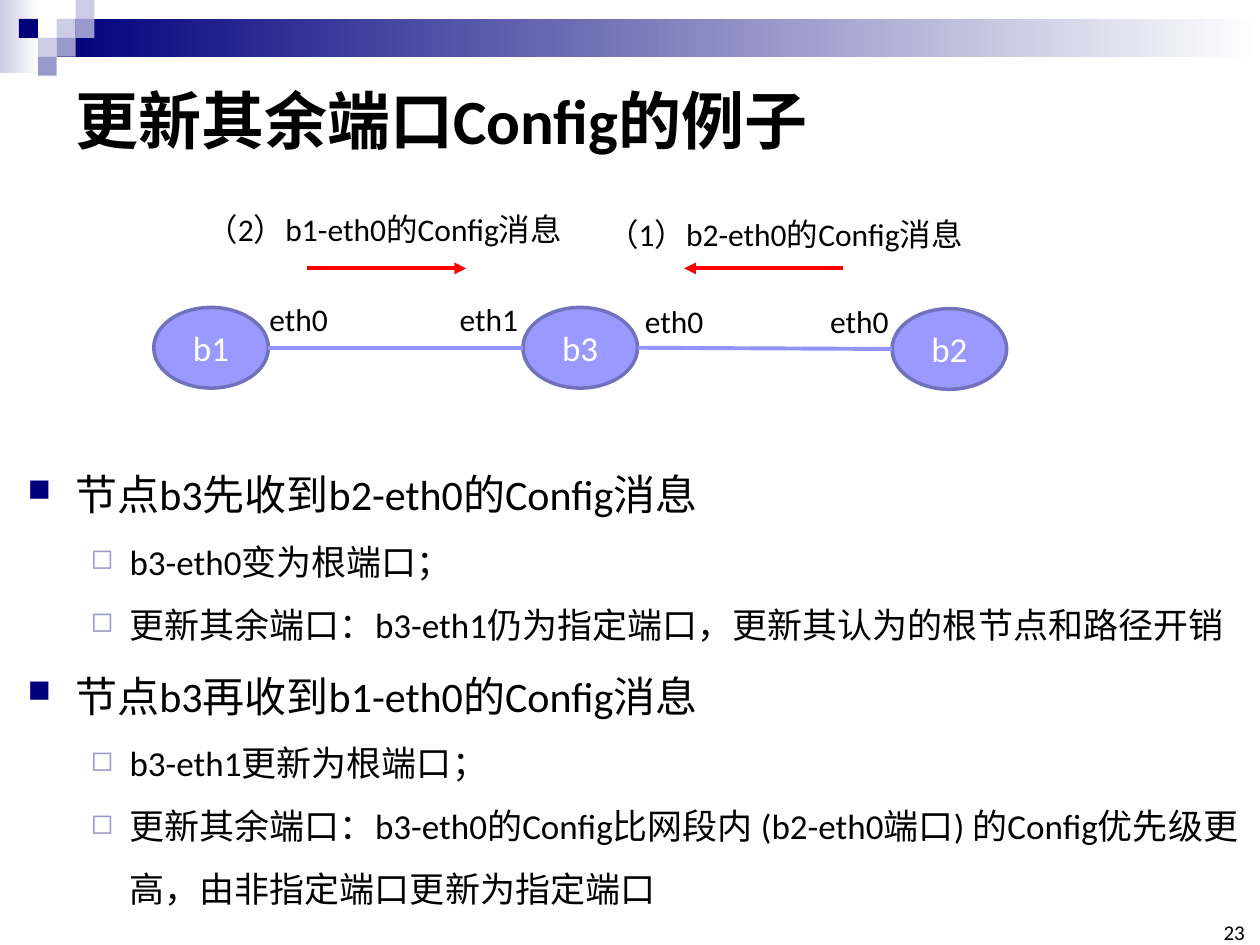
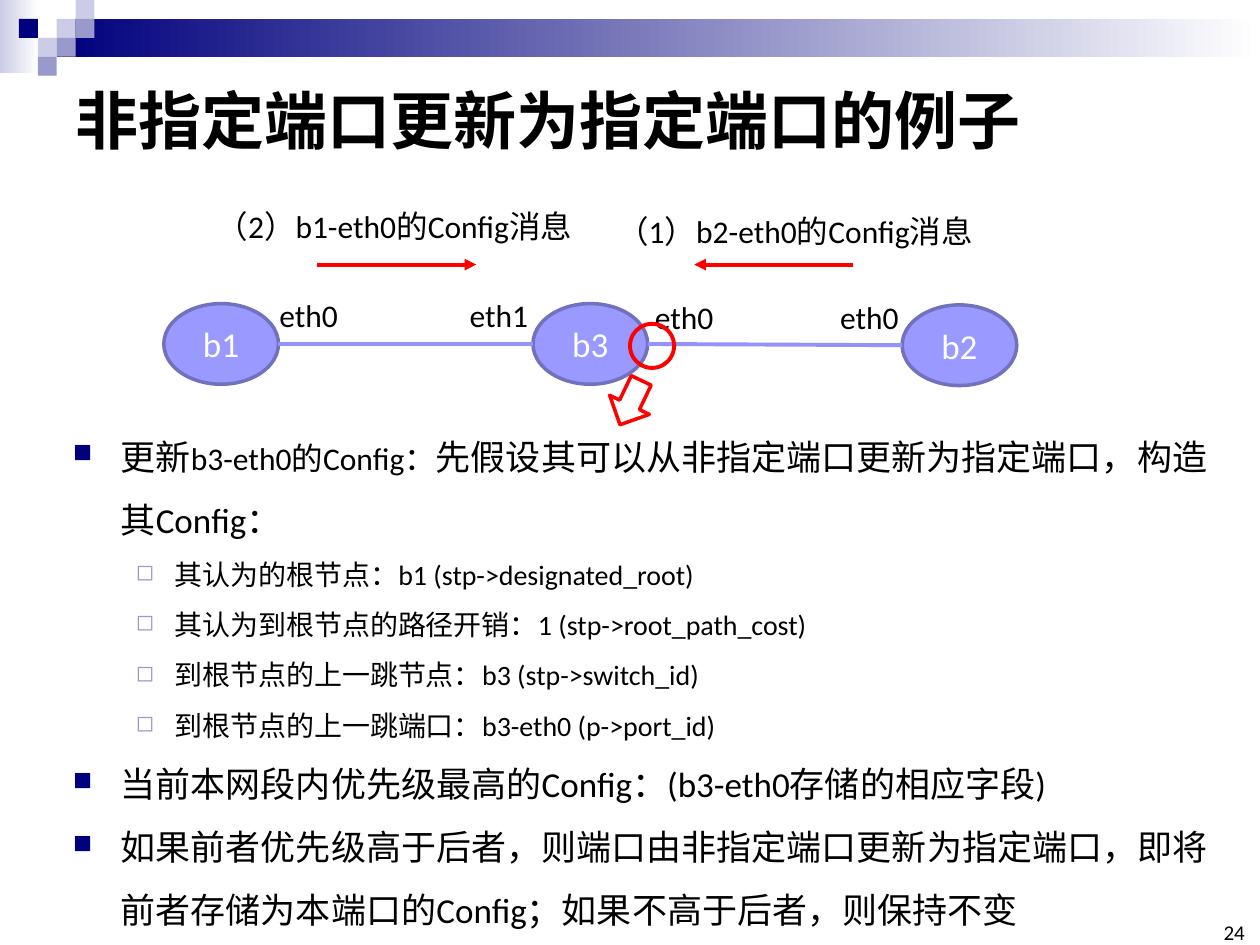
from dataclasses import dataclass

from lxml.etree import SubElement
from pptx import Presentation
from pptx.dml.color import RGBColor
from pptx.enum.shapes import MSO_CONNECTOR as Connector, MSO_SHAPE as Shape
from pptx.enum.text import MSO_ANCHOR as Anchor, PP_ALIGN as Align
from pptx.oxml.ns import qn
from pptx.util import Pt

EMU_PER_PX = 9144  # 100 px to the inch


def px(length):
    return round(length * EMU_PER_PX)


@dataclass(frozen=True)
class Theme:
    font: str = "Calibri"
    ink: str = "000000"
    paper: str = "FFFFFF"
    navy: str = "00007D"
    lilac: str = "9999CC"
    pale: str = "CCCCE6"
    node: str = "9999FF"
    node_edge: str = "7171BD"
    link: str = "9393FC"
    accent: str = "FF0000"
    title_size: int = 36
    node_size: int = 20
    label_size: int = 18
    number_size: int = 12
    edge_width: float = 2
    line_width: float = 2.25
    body_spacing: float = 1.5


@dataclass(frozen=True)
class Bullet:
    character: str
    colour: str
    percent: int
    margin: int
    hanging: int


THEME = Theme()
BULLETS = (
    Bullet("■", THEME.navy, 75, 38, 38),
    Bullet("◻", THEME.lilac, 80, 81, 31),
)
SQUARE = 15
SQUARES = (  # column, row, colour
    (3, 1, THEME.pale), (4, 0, THEME.pale), (4, 1, THEME.lilac),
    (2, 2, THEME.pale), (1, 1, THEME.navy), (3, 2, THEME.lilac),
    (2, 3, THEME.lilac),
)


class Deck:
    def __init__(self, theme):
        self.theme = theme
        self.presentation = Presentation()
        self.presentation.slide_width = px(1000)
        self.presentation.slide_height = px(750)
        self.slide = None

    def start_slide(self, title, number):
        theme = self.theme
        layout = self.presentation.slide_layouts[6]
        self.slide = self.presentation.slides.add_slide(layout)
        self.gradient_bar((0, 0, 31, 58), theme.pale)
        self.gradient_bar((45, 15, 955, 30), theme.navy)
        for column, row, colour in SQUARES:
            self.shape(Shape.RECTANGLE,
                       (column * SQUARE, row * SQUARE, SQUARE, SQUARE), colour)
        self.text((50, 50, 900, 89), title, theme.title_size,
                  bold=True, anchor=Anchor.MIDDLE)
        frame = self.text((965, 733, 23, 17), str(number), theme.number_size,
                          align=Align.RIGHT, anchor=Anchor.BOTTOM)
        frame.margin_left = frame.margin_right = 0
        frame.margin_top = frame.margin_bottom = 0

    def shape(self, kind, box, fill=None, edge=None, width=None, rotation=0):
        shape = self.slide.shapes.add_shape(kind, *map(px, box))
        shape.shadow.inherit = False
        shape.rotation = rotation
        if fill:
            shape.fill.solid()
            shape.fill.fore_color.rgb = RGBColor.from_string(fill)
        else:
            shape.fill.background()
        if edge:
            shape.line.color.rgb = RGBColor.from_string(edge)
            shape.line.width = Pt(width)
        else:
            shape.line.fill.background()
        return shape

    def gradient_bar(self, box, start):
        """Draw a bar that fades from start to the paper colour."""
        fill = self.shape(Shape.RECTANGLE, box).fill
        fill.gradient()
        fill.gradient_angle = 0
        for stop, colour in zip(fill.gradient_stops, (start, self.theme.paper)):
            stop.color.rgb = RGBColor.from_string(colour)

    def run(self, paragraph, text, size, colour=None, bold=False):
        run = paragraph.add_run()
        run.text = text
        run.font.name = self.theme.font
        run.font.size = Pt(size)
        run.font.bold = bold
        run.font.color.rgb = RGBColor.from_string(colour or self.theme.ink)

    def text_frame(self, box, anchor=Anchor.TOP):
        frame = self.slide.shapes.add_textbox(*map(px, box)).text_frame
        frame.word_wrap = True
        frame.vertical_anchor = anchor
        return frame

    def text(self, box, text, size, bold=False, align=Align.LEFT,
             anchor=Anchor.TOP):
        frame = self.text_frame(box, anchor)
        frame.paragraphs[0].alignment = align
        self.run(frame.paragraphs[0], text, size, bold=bold)
        return frame

    def bullet_list(self, box, items):
        """Each item is a level followed by (size, text) runs."""
        frame = self.text_frame(box)
        for index, (level, *runs) in enumerate(items):
            paragraph = frame.add_paragraph() if index else frame.paragraphs[0]
            paragraph.level = level
            paragraph.line_spacing = self.theme.body_spacing
            self.bullet(paragraph, BULLETS[level])
            for size, text in runs:
                self.run(paragraph, text, size)

    def bullet(self, paragraph, bullet):
        properties = paragraph._p.get_or_add_pPr()
        properties.set("marL", str(px(bullet.margin)))
        properties.set("indent", str(px(-bullet.hanging)))
        colour = SubElement(properties, qn("a:buClr"))
        SubElement(colour, qn("a:srgbClr"), val=bullet.colour)
        SubElement(properties, qn("a:buSzPct"), val=str(bullet.percent * 1000))
        SubElement(properties, qn("a:buChar"), char=bullet.character)

    def line(self, start, end, colour, arrow=False):
        connector = self.slide.shapes.add_connector(
            Connector.STRAIGHT, *map(px, (*start, *end)))
        connector.line.color.rgb = RGBColor.from_string(colour)
        connector.line.width = Pt(self.theme.line_width)
        if arrow:
            SubElement(connector.line._get_or_add_ln(), qn("a:tailEnd"),
                       type="triangle")
        SubElement(connector._element.spPr, qn("a:effectLst"))

    def node(self, box, name):
        theme = self.theme
        shape = self.shape(Shape.OVAL, box, theme.node, theme.node_edge,
                           theme.edge_width)
        frame = shape.text_frame
        frame.vertical_anchor = Anchor.MIDDLE
        frame.paragraphs[0].alignment = Align.CENTER
        self.run(frame.paragraphs[0], name, theme.node_size, theme.paper)

    def network(self, left, top):
        """Draw bridges b1, b3 and b2 with their ports and messages."""
        theme = self.theme
        width, height, pitch = 91, 64, 293
        drops = (0, 0, 1)
        for index, (name, drop) in enumerate(zip(("b1", "b3", "b2"), drops)):
            self.node((left + index * pitch, top + drop, width, height), name)
        middle = top + height // 2
        for index in range(2):
            self.line((left + index * pitch + width, middle + drops[index]),
                      (left + (index + 1) * pitch, middle + drops[index + 1]),
                      theme.link)
        for x, y, port in ((82, -11, "eth0"), (233, -11, "eth1"),
                           (380, -9, "eth0"), (527, -9, "eth0")):
            self.text((left + x, top + y, 67, 40), port, theme.label_size)
        for x, y, message, start, end in (
                (350, -78, "（1）b2-eth0的Config消息", 547, 421),
                (32, -82, "（2）b1-eth0的Config消息", 122, 248)):
            self.line((left + start, top - 31), (left + end, top - 31),
                      theme.accent, arrow=True)
            self.text((left + x, top + y, 305, 40), message, theme.label_size)


def main():
    deck = Deck(THEME)

    deck.start_slide("更新其余端口Config的例子", 23)
    deck.bullet_list((12, 347, 988, 351), (
        (0, (24, "节点b3先收到b2-eth0的Config消息")),
        (1, (20, "b3-eth0变为根端口；")),
        (1, (20, "更新其余端口：b3-eth1仍为指定端口，更新其认为的根节点和路径开销")),
        (0, (24, "节点b3再收到b1-eth0的Config消息")),
        (1, (20, "b3-eth1更新为根端口；")),
        (1, (20, "更新其余端口：b3-eth0的Config比网段内 (b2-eth0端口) "
                 "的Config优先级更高，由非指定端口更新为指定端口")),
    ))
    deck.network(122, 244)

    deck.start_slide("非指定端口更新为指定端口的例子", 24)
    deck.bullet_list((48, 324, 938, 349), (
        (0, (20, "更新"), (18, "b3-eth0的Config："),
         (20, "先假设其可以从非指定端口更新为指定端口，构造其Config：")),
        (1, (16, "其认为的根节点：b1 (stp->designated_root)")),
        (1, (16, "其认为到根节点的路径开销：1 (stp->root_path_cost)")),
        (1, (16, "到根节点的上一跳节点：b3 (stp->switch_id)")),
        (1, (16, "到根节点的上一跳端口：b3-eth0 (p->port_id)")),
        (0, (20, "当前本网段内优先级最高的Config：(b3-eth0存储的相应字段)")),
        (0, (20, "如果前者优先级高于后者，则端口由非指定端口更新为指定端口，"
                 "即将前者存储为本端口的Config；如果不高于后者，则保持不变")),
    ))
    deck.network(130, 241)
    deck.shape(Shape.OVAL, (500, 257, 35, 35), edge=THEME.accent,
               width=THEME.line_width)
    deck.shape(Shape.DOWN_ARROW, (483, 300, 35, 39), edge=THEME.accent,
               width=THEME.edge_width, rotation=25.6)

    deck.presentation.save("out.pptx")


if __name__ == "__main__":
    main()
